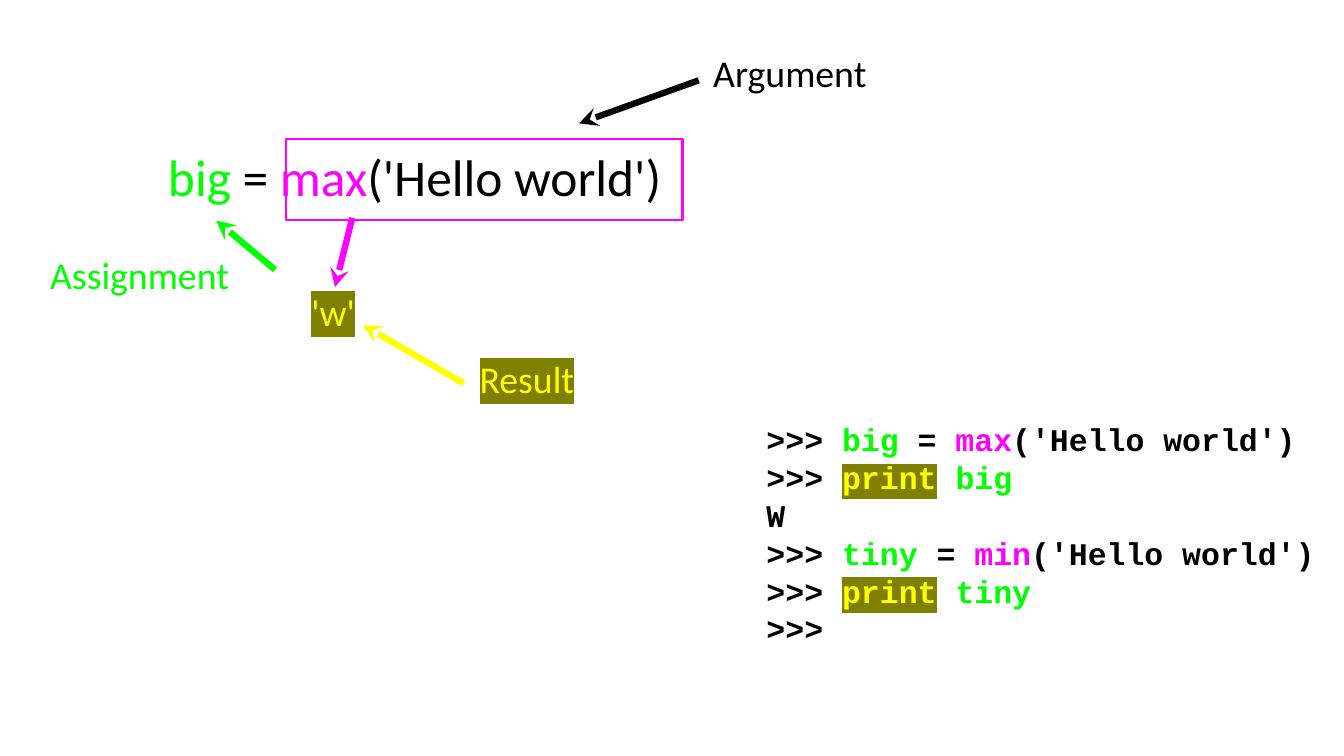
"""Build a slide that explains a function call with its argument, result and assignment."""
from typing import NamedTuple

from lxml import etree
from pptx import Presentation
from pptx.dml.color import RGBColor
from pptx.enum import shapes, text
from pptx.oxml import ns
from pptx.util import Pt

BLACK = RGBColor(0x00, 0x00, 0x00)
GREEN = RGBColor(0x00, 0xFF, 0x00)
MAGENTA = RGBColor(0xFF, 0x00, 0xFF)
YELLOW = RGBColor(0xFF, 0xFF, 0x00)
OLIVE = RGBColor(0x80, 0x80, 0x00)


class Token(NamedTuple):
    text: str
    color: RGBColor = BLACK
    highlight: RGBColor | None = None


class Label(NamedTuple):
    left: float
    top: float
    width: float
    height: float
    tokens: list[Token]
    size: float = 36
    align: text.PP_ALIGN = text.PP_ALIGN.CENTER


class Arrow(NamedTuple):
    tip: tuple[float, float]
    tail: tuple[float, float]
    color: RGBColor


def call(name: str, function: str) -> list[Token]:
    return [Token(name, GREEN), Token(" = "), Token(function, MAGENTA), Token("('Hello world')")]


def show(name: str) -> list[Token]:
    return [Token("print", YELLOW, OLIVE), Token(" "), Token(name, GREEN)]


PROMPT = Token(">>> ")
SESSION = [
    [PROMPT, *call("big", "max")],
    [PROMPT, *show("big")],
    [Token("W")],
    [PROMPT, *call("tiny", "min")],
    [PROMPT, *show("tiny")],
    [Token(">>>")],
]
LABELS = [
    Label(160, 135.5, 492, 64, call("big", "max"), 49, text.PP_ALIGN.LEFT),
    Label(674.5, 44.5, 155.5, 49, [Token("Argument")]),
    Label(296.5, 275, 42.5, 44, [Token("'w'", YELLOW, OLIVE)], align=text.PP_ALIGN.LEFT),
    Label(456.5, 338.5, 90.5, 44, [Token("Result", YELLOW, OLIVE)]),
    Label(44.5, 237, 177, 49, [Token("Assignment", GREEN)]),
]
ARROWS = [
    Arrow((551.5, 117.5), (665.5, 76.5), BLACK),
    Arrow((345.5, 309.5), (441.5, 365), YELLOW),
    Arrow((206, 210), (262, 257), GREEN),
    Arrow((319, 273.5), (335.5, 207.5), MAGENTA),
]


def add_box(s, left: float, top: float, width: float, height: float):
    tf = s.shapes.add_textbox(Pt(left), Pt(top), Pt(width), Pt(height)).text_frame
    tf.margin_left = tf.margin_top = tf.margin_right = tf.margin_bottom = 0
    tf.vertical_anchor = text.MSO_ANCHOR.MIDDLE
    return tf


def write(p, tokens: list[Token], font: str, size: float, bold: bool = False) -> None:
    p.font.name, p.font.size, p.font.bold = font, Pt(size), bold
    for token in tokens:
        r = p.add_run()
        r.text = token.text
        r.font.color.rgb = token.color
        if token.highlight is not None:
            highlight = etree.SubElement(r.font._element, ns.qn("a:highlight"))
            etree.SubElement(highlight, ns.qn("a:srgbClr"), val=str(token.highlight))


def add_label(s, label: Label) -> None:
    tf = add_box(s, label.left, label.top, label.width, label.height)
    tf.word_wrap = False
    tf.auto_size = text.MSO_AUTO_SIZE.SHAPE_TO_FIT_TEXT
    p = tf.paragraphs[0]
    p.alignment = label.align
    write(p, label.tokens, "Calibri", label.size)


def add_session(s, lines: list[list[Token]]) -> None:
    tf = add_box(s, 730, 378.5, 550, 260)
    tf.word_wrap = True
    for i, tokens in enumerate(lines):
        p = tf.add_paragraph() if i else tf.paragraphs[0]
        p.line_spacing = Pt(36)
        write(p, tokens, "Courier New", 30, True)


def add_frame(s) -> None:
    sp = s.shapes.add_shape(shapes.MSO_SHAPE.RECTANGLE, Pt(272), Pt(132), Pt(378), Pt(77.5))
    sp.shadow.inherit = False
    sp.fill.background()
    sp.line.color.rgb = MAGENTA
    sp.line.width = Pt(2)


def add_arrow(s, arrow: Arrow) -> None:
    ends = [Pt(v) for v in (*arrow.tip, *arrow.tail)]
    sp = s.shapes.add_connector(shapes.MSO_CONNECTOR.STRAIGHT, *ends)
    sp.line.color.rgb = arrow.color
    sp.line.width = Pt(6)
    etree.SubElement(sp.line._get_or_add_ln(), ns.qn("a:headEnd"), type="stealth")
    etree.SubElement(sp._element.spPr, ns.qn("a:effectLst"))


def main() -> None:
    prs = Presentation()
    prs.slide_width, prs.slide_height = Pt(1280), Pt(720)
    s = prs.slides.add_slide(prs.slide_layouts[6])
    add_session(s, SESSION)
    for label in LABELS:
        add_label(s, label)
    add_frame(s)
    for arrow in ARROWS:
        add_arrow(s, arrow)
    prs.save("out.pptx")


if __name__ == "__main__":
    main()
